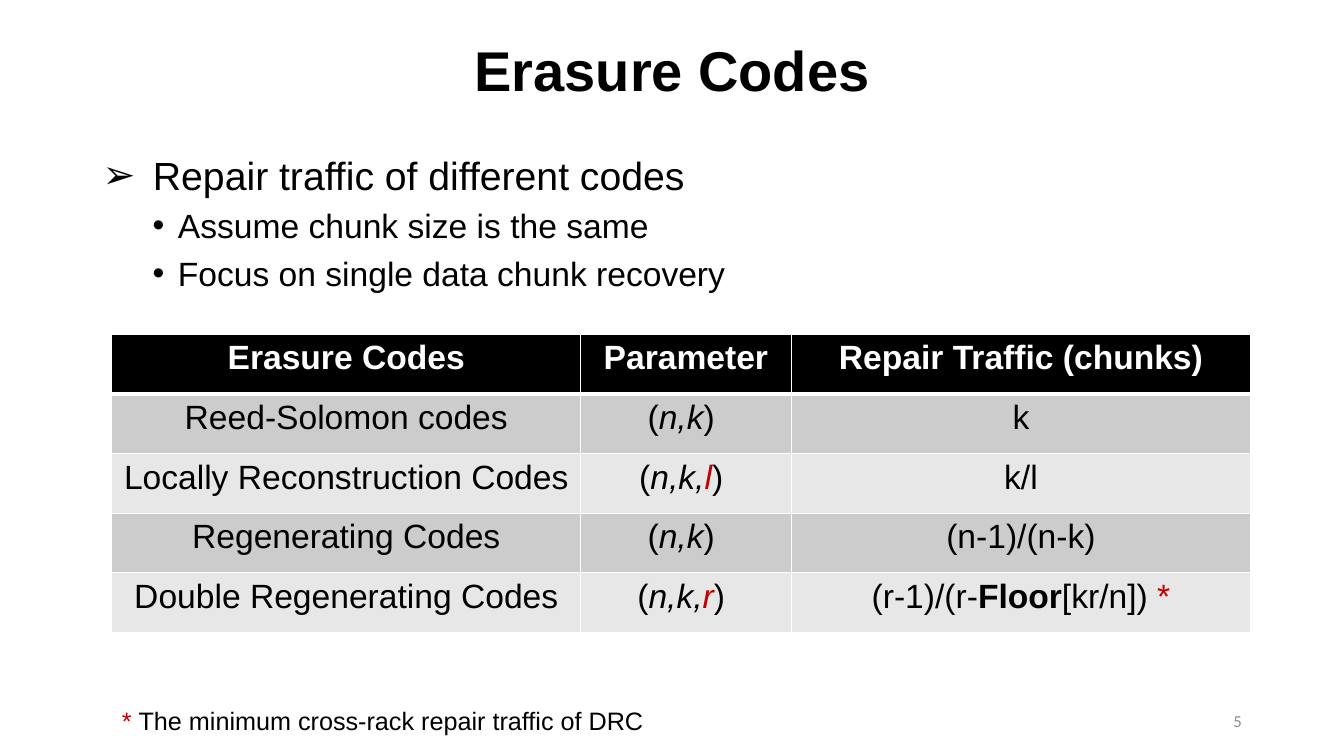
from lxml.etree import SubElement
from pptx import Presentation
from pptx.dml.color import RGBColor
from pptx.enum.text import MSO_ANCHOR, MSO_AUTO_SIZE, PP_ALIGN
from pptx.oxml.ns import qn
from pptx.util import Cm, Pt

BLACK, WHITE, RED, GREY = "000000", "FFFFFF", "C00000", "8C8C8C"
BAND_COLOURS = ("CCCCCC", "E7E7E7")

# A piece of text is a string, or a tuple of a string and its style letters:
# b = bold, i = italic, r = red.
HEADER = ["Erasure Codes", "Parameter", "Repair Traffic (chunks)"]
CODES = [
    [["Reed-Solomon codes"], ["(", ("n,k", "i"), ") "], ["k"]],
    [["Locally Reconstruction Codes "],
     ["(", ("n,k,", "i"), ("l", "ir"), ") "], ["k/l"]],
    [["Regenerating Codes"], ["(", ("n,k", "i"), ") "], ["(n-1)/(n-k)"]],
    [["Double Regenerating Codes"],
     ["(", ("n,k,", "i"), ("r", "ir"), ") "],
     ["(r-1)/(r-", ("Floor", "b"), "[kr/n]) ", ("*", "r")]],
]


def colour(hex_string):
    return RGBColor.from_string(hex_string)


class SlideBuilder:
    font_name = "Arial"

    def __init__(self, presentation):
        self.slide = presentation.slides.add_slide(presentation.slide_layouts[1])

    def place(self, shape, left, top, width, height):
        shape.left, shape.top = Cm(left), Cm(top)
        shape.width, shape.height = Cm(width), Cm(height)

    def format_run(self, run, size, hex_string=BLACK, bold=False, italic=False,
                   font_name=None):
        font = run.font
        font.name = font_name or self.font_name
        font.size = Pt(size)
        font.bold, font.italic = bold, italic
        font.color.rgb = colour(hex_string)

    def write_pieces(self, paragraph, pieces, size, hex_string=BLACK, bold=False):
        for piece in pieces:
            text, styles = (piece, "") if isinstance(piece, str) else piece
            run = paragraph.add_run()
            run.text = text
            self.format_run(run, size, RED if "r" in styles else hex_string,
                            bold or "b" in styles, "i" in styles)

    def title(self, text, *box):
        shape = self.slide.shapes.title
        self.place(shape, *box)
        frame = shape.text_frame
        frame.text = text
        frame.vertical_anchor = MSO_ANCHOR.MIDDLE
        paragraph = frame.paragraphs[0]
        paragraph.alignment = PP_ALIGN.CENTER
        paragraph.line_spacing = 0.9
        self.format_run(paragraph.runs[0], 40, bold=True)

    def bullets(self, items, *box):
        """Fill the body with (level, text) items."""
        # size, space before, bullet, text indent, hanging indent
        level_styles = [(28, 10, "➢", 1.27, 1.27), (24, 5, "•", 1.9, 0.64)]
        shape = self.slide.placeholders[1]
        self.place(shape, *box)
        frame = shape.text_frame
        frame.text = "\n".join(text for _, text in items)
        frame.auto_size = MSO_AUTO_SIZE.NONE
        for paragraph, (level, _) in zip(frame.paragraphs, items):
            size, space, bullet, indent, hanging = level_styles[level]
            paragraph.level = level
            paragraph.space_before = Pt(space)
            self.format_run(paragraph.runs[0], size)
            properties = paragraph._p.get_or_add_pPr()
            properties.set("marL", str(Cm(indent)))
            properties.set("indent", str(-Cm(hanging)))
            SubElement(properties, qn("a:buFont"), typeface=self.font_name)
            SubElement(properties, qn("a:buChar"), char=bullet)

    def text_box(self, *box):
        """Add an empty wrapping text box and return its text frame."""
        frame = self.slide.shapes.add_textbox(*map(Cm, box)).text_frame
        frame.word_wrap = True
        return frame

    def footnote(self, pieces, *box):
        self.write_pieces(self.text_box(*box).paragraphs[0], pieces, 18)

    def page_number(self, number, *box):
        frame = self.text_box(*box)
        frame.text = str(number)
        frame.vertical_anchor = MSO_ANCHOR.MIDDLE
        paragraph = frame.paragraphs[0]
        paragraph.alignment = PP_ALIGN.RIGHT
        self.format_run(paragraph.runs[0], 12, GREY, font_name="Calibri")

    def cell_borders(self, cell, top_width, bottom_width):
        properties = cell._tc.get_or_add_tcPr()
        widths = {"lnL": 1, "lnR": 1, "lnT": top_width, "lnB": bottom_width}
        for side, width in widths.items():
            line = SubElement(properties, qn(f"a:{side}"), w=str(Pt(width)))
            fill = SubElement(line, qn("a:solidFill"))
            SubElement(fill, qn("a:srgbClr"), val=WHITE)

    def table(self, header, rows, left, top, column_widths, row_height):
        content = [[[text] for text in header]] + rows
        table = self.slide.shapes.add_table(
            len(content), len(header), Cm(left), Cm(top),
            Cm(sum(column_widths)), Cm(row_height * len(content))).table
        for column, width in zip(table.columns, column_widths):
            column.width = Cm(width)
        for row_index, row in enumerate(content):
            is_header = row_index == 0
            background = BLACK if is_header else BAND_COLOURS[(row_index - 1) % 2]
            for column_index, pieces in enumerate(row):
                cell = table.cell(row_index, column_index)
                self.cell_borders(cell, 3 if row_index == 1 else 1,
                                  3 if is_header else 1)
                cell.fill.solid()
                cell.fill.fore_color.rgb = colour(background)
                paragraph = cell.text_frame.paragraphs[0]
                paragraph.alignment = PP_ALIGN.CENTER
                self.write_pieces(paragraph, pieces, 24,
                                  WHITE if is_header else BLACK, is_header)


def main():
    presentation = Presentation()
    presentation.slide_width, presentation.slide_height = Cm(33.87), Cm(19.05)
    builder = SlideBuilder(presentation)
    builder.title("Erasure Codes", 2.33, 0, 29.21, 3.68)
    builder.bullets([(0, "Repair traffic of different codes"),
                     (1, "Assume chunk size is the same"),
                     (1, "Focus on single data chunk recovery")],
                    2.33, 3.68, 29.21, 13.97)
    builder.page_number(5, 23.93, 17.65, 7.62, 1.02)
    builder.table(HEADER, CODES, 2.82, 8.43, (11.81, 5.31, 11.58), 1.5)
    builder.footnote([("* ", "r"), "The minimum cross-rack repair traffic of DRC"],
                     2.82, 17.65, 14.66, 1.02)
    presentation.save("out.pptx")


if __name__ == "__main__":
    main()
